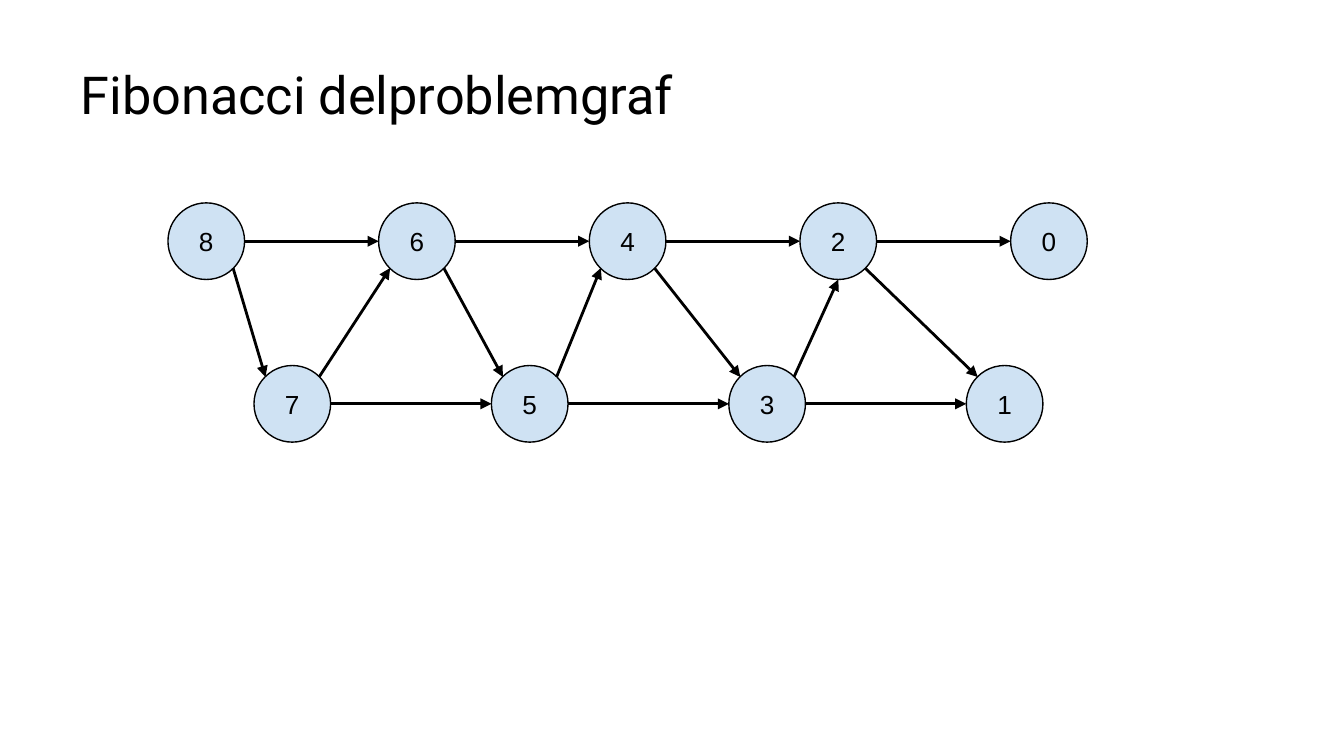
from lxml import etree
from pptx import Presentation
from pptx.dml.color import RGBColor
from pptx.enum import shapes, text
from pptx.oxml.ns import qn
from pptx.util import Inches, Pt


def rgb(value):
    return RGBColor.from_string(value)


def write(sp, words, size, face, align):
    tf = sp.text_frame
    frame = {"word_wrap": True, "auto_size": text.MSO_AUTO_SIZE.NONE,
             "vertical_anchor": text.MSO_ANCHOR.MIDDLE}
    for side in ("left", "top", "right", "bottom"):
        frame["margin_" + side] = Inches(0.1)
    for name, value in frame.items():
        setattr(tf, name, value)
    p = tf.paragraphs[0]
    p.alignment = align
    r = p.add_run()
    r.text = words
    for name, value in {"size": Pt(size), "name": face}.items():
        setattr(r.font, name, value)
    r.font.color.rgb = rgb("000000")


# Widescreen slide, 16 to 9
prs = Presentation()
prs.slide_width, prs.slide_height = Inches(10), Inches(10 * 9 / 16)
s = prs.slides.add_slide(prs.slide_layouts[5])

# Title
title = s.shapes.title
for name, value in {"left": 0.5, "top": 0.23, "width": 9, "height": 0.94}.items():
    setattr(title, name, Inches(value))
write(title, "Fibonacci delproblemgraf", 28, "Roboto", text.PP_ALIGN.LEFT)

# Nodes: even numbers in the upper row, odd numbers in the lower row
size = 0.57
nodes = {8 - 2 * i: (1.25 + 6.27 / 4 * i, 1.51) for i in range(5)}
nodes.update({7 - 2 * i: (1.89 + 5.3 / 3 * i, 2.72) for i in range(4)})
for n, (x, y) in nodes.items():
    sp = s.shapes.add_shape(shapes.MSO_SHAPE.OVAL, Inches(x), Inches(y),
                            Inches(size), Inches(size))
    sp.shadow.inherit = False
    sp.fill.solid()
    sp.fill.fore_color.rgb = rgb("CFE2F3")
    sp.line.color.rgb = rgb("000000")
    sp.line.width = Pt(0.75)
    write(sp, str(n), 14, "Arial", text.PP_ALIGN.CENTER)

# Points on a circle, as fractions of its bounding box
near, far = 0.15, 0.85
sites = {"right": (1, 0.5), "left": (0, 0.5), "bottom": (0.5, 1),
         "upper left": (near, near), "upper right": (far, near),
         "lower left": (near, far), "lower right": (far, far)}

# Each number n depends on n - 1 and n - 2
edges = []
for n in range(8, 1, -1):
    edges.append((n, n - 2, "right", "left"))
    if n % 2 == 0:
        edges.append((n, n - 1, "lower right", "upper left"))
    else:
        edges.append((n, n - 1, "upper right", "bottom" if n == 3 else "lower left"))

# Arrows
for start, end, start_site, end_site in edges:
    ends = []
    for n, site in ((start, start_site), (end, end_site)):
        ends += [Inches(c + size * f) for c, f in zip(nodes[n], sites[site])]
    arrow = s.shapes.add_connector(shapes.MSO_CONNECTOR.STRAIGHT, *ends)
    arrow.line.color.rgb = rgb("000000")
    arrow.line.width = Pt(1.5)
    etree.SubElement(arrow.line._get_or_add_ln(), qn("a:tailEnd"), type="triangle")
    etree.SubElement(arrow._element.spPr, qn("a:effectLst"))

prs.save("out.pptx")
